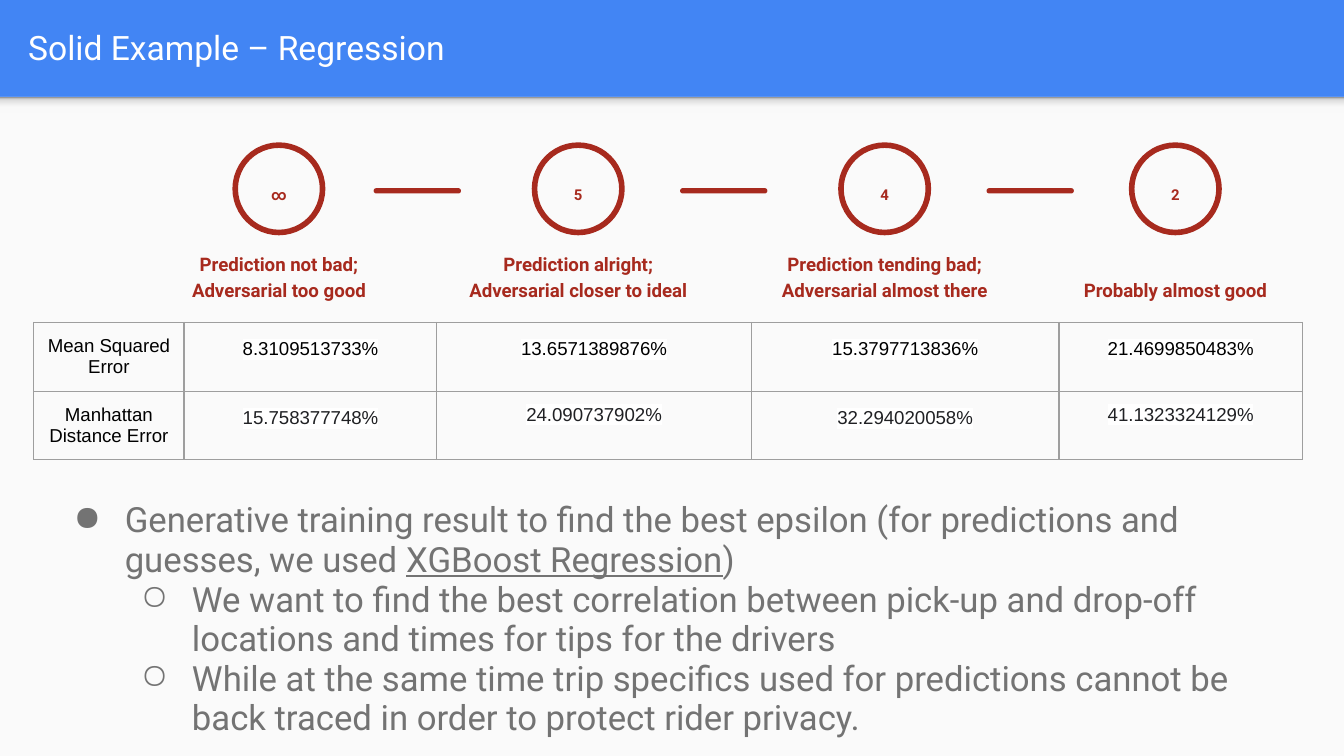
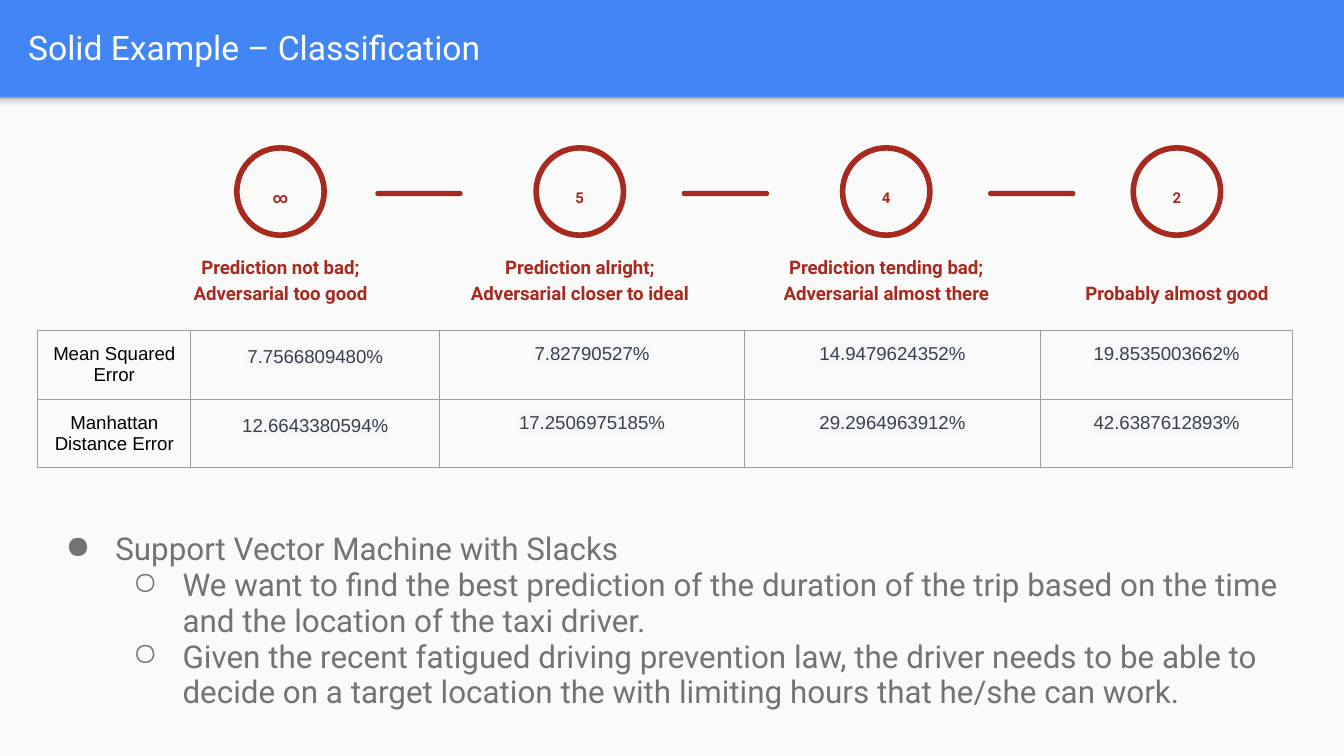
from lxml import etree
from pptx import Presentation
from pptx import util as u
from pptx.dml.color import RGBColor
from pptx.enum import shapes, text
from pptx.oxml import ns

WIDTH, HEIGHT = u.Inches(10), u.Inches(5.625)
COLUMNS, ROWS = 100, 56.25
BLUE, PAPER, RED, GREY = "4285F4", "FAFAFA", "A72A1E", "737373"
WHITE, BLACK, INK, SLATE, MIST, BORDER = "FFFFFF", "000000", "202124", "374151", "F7F7F8", "9E9E9E"
SHADOW_STOPS = [(0, "F9F9F9"), (36, "F9F9F9"), (80, "DEDEDE"), (100, "999999")]
CENTRE, LEFT = text.PP_ALIGN.CENTER, text.PP_ALIGN.LEFT
STAGES = [
    (20.75, "∞", ["Prediction not bad;", "Adversarial too good"]),
    (43.02, "5", ["Prediction alright;", "Adversarial closer to ideal"]),
    (65.82, "4", ["Prediction tending bad;", "Adversarial almost there"]),
    (87.45, "2", ["Probably almost good"]),
]
ROW_NAMES = ["Mean Squared Error", "Manhattan Distance Error"]


def color(code):
    return RGBColor.from_string(code)


def child(parent, tag, **attributes):
    return etree.SubElement(parent, ns.qn(tag), attributes)


def solid(parent, code):
    child(child(parent, "a:solidFill"), "a:srgbClr", val=code)


class Deck:
    """Hold the shared style and the current slide, and draw each kind of element on it."""

    def __init__(self):
        self.presentation = Presentation()
        self.presentation.slide_width, self.presentation.slide_height = WIDTH, HEIGHT
        background = self.presentation.slide_master.background.fill
        background.solid()
        background.fore_color.rgb = color(BLUE)

    def box(self, left, top, width, height):
        column, row = WIDTH / COLUMNS, HEIGHT / ROWS
        return [u.Emu(round(n)) for n in (left * column, top * row, width * column, height * row)]

    def new_slide(self, title):
        self.slide = self.presentation.slides.add_slide(self.presentation.slide_layouts[5])
        self.shape("RECTANGLE", (0, 7.2, 100, 49.05), fill=PAPER)
        self.band_shadow()
        placeholder = self.slide.shapes.title
        placeholder.left, placeholder.top, placeholder.width, placeholder.height = self.box(1.1, 0.2, 96.5, 6.6)
        frame = self.frame(placeholder, text.MSO_ANCHOR.MIDDLE)
        self.paragraph(frame, [title], 18, WHITE, align=LEFT)

    def shape(self, kind, place, fill=None, line=None, parent=None):
        shape = (parent or self.slide).shapes.add_shape(getattr(shapes.MSO_SHAPE, kind), *self.box(*place))
        shape.shadow.inherit = False
        if fill:
            shape.fill.solid()
            shape.fill.fore_color.rgb = color(fill)
        else:
            shape.fill.background()
        if line:
            shape.line.color.rgb = color(line)
            shape.line.width = u.Pt(3)
        else:
            shape.line.fill.background()
        return shape

    def band_shadow(self):
        shape = self.shape("RECTANGLE", (0, 7.2, 100, 1.2))
        shape.fill.gradient()
        shape.fill.gradient_angle = 90
        stops = shape.element.spPr.find(".//" + ns.qn("a:gsLst"))
        stops.clear()
        for position, code in SHADOW_STOPS:
            child(child(stops, "a:gs", pos=str(position * 1000)), "a:srgbClr", val=code)

    def frame(self, shape, anchor=text.MSO_ANCHOR.TOP):
        frame = shape.text_frame
        frame.word_wrap = True
        frame.auto_size = text.MSO_AUTO_SIZE.NONE
        frame.vertical_anchor = anchor
        frame.margin_left = frame.margin_right = frame.margin_top = frame.margin_bottom = u.Inches(0.1)
        return frame

    def text_box(self, place, anchor=text.MSO_ANCHOR.TOP, parent=None):
        return self.frame((parent or self.slide).shapes.add_textbox(*self.box(*place)), anchor)

    def paragraph(self, frame, pieces, size, code, font="Roboto", bold=False, align=CENTRE,
                  spacing=1.0, highlight=None):
        first = frame.paragraphs[0]
        paragraph = frame.add_paragraph() if first.runs else first
        paragraph.alignment, paragraph.line_spacing = align, spacing
        for index, piece in enumerate(pieces):
            run = paragraph.add_run()
            run.text = piece
            run.font.size, run.font.name, run.font.bold = u.Pt(size), font, bold
            run.font.color.rgb = color(code)
            run.font.underline = True if index % 2 else None
            if highlight:
                properties = run.font._element
                mark = child(properties, "a:highlight")
                child(mark, "a:srgbClr", val=highlight)
                properties.find(ns.qn("a:solidFill")).addnext(mark)
        return paragraph

    def stages(self, shift_x=0.0, shift_y=0.0):
        for index, (centre, value, caption) in enumerate(STAGES):
            middle = centre + shift_x
            group = self.slide.shapes.add_group_shape()
            self.shape("OVAL", (middle - 3.25, 10.8 + shift_y, 6.5, 6.5), line=RED, parent=group)
            frame = self.text_box((middle - 2.4, 12.6 + shift_y, 4.8, 3.5), parent=group)
            self.paragraph(frame, [value], 8, RED, bold=True, spacing=1.15).space_after = u.Pt(16)
            frame = self.text_box((middle - 9.35, 18.5 + shift_y, 18.7, 4.9), text.MSO_ANCHOR.BOTTOM, group)
            for line in caption:
                self.paragraph(frame, [line], 10, RED, bold=True, spacing=1.15)
            if index < len(STAGES) - 1:
                dash = (27.8 + 22.8 * index + shift_x, 14 + shift_y, 6.5, 0.4)
                self.shape("ROUNDED_RECTANGLE", dash, fill=RED).adjustments[0] = 0.5

    def error_table(self, left, top, widths, values, codes, highlight, spacings):
        place = self.box(left, top, sum(widths), 10.2)
        table = self.slide.shapes.add_table(len(values), len(widths), *place).table
        table.first_row = table.horz_banding = False
        for column, width in zip(table.columns, widths):
            column.width = self.box(0, 0, width, 0)[2]
        for r, row in enumerate(values):
            self.cell(table.cell(r, 0), ROW_NAMES[r], BLACK)
            for c, value in enumerate(row):
                self.cell(table.cell(r, c + 1), value, codes[r], spacings[r][c], highlight)

    def cell(self, cell, value, code, spacing=1.0, highlight=None):
        cell.margin_left = cell.margin_right = cell.margin_top = cell.margin_bottom = u.Inches(0.1)
        self.paragraph(cell.text_frame, [value], 10, code, "Arial", spacing=spacing, highlight=highlight)
        properties = cell._tc.get_or_add_tcPr()
        for side in ("a:lnL", "a:lnR", "a:lnT", "a:lnB"):
            solid(child(properties, side, w=str(u.Pt(0.75))), BORDER)
        cell.fill.background()

    def bullets(self, place, size, hanging, items):
        frame = self.text_box(place)
        for level, pieces in items:
            paragraph = self.paragraph(frame, pieces, size, GREY, align=LEFT, spacing=0.95)
            paragraph.level = level
            properties = paragraph._p.get_or_add_pPr()
            properties.set("marL", str(u.Inches(0.5 * (level + 1))))
            properties.set("indent", str(-u.Inches(hanging)))
            child(child(properties, "a:buClr"), "a:srgbClr", val=GREY)
            child(properties, "a:buChar", char="●○"[level])


def main():
    deck = Deck()

    deck.new_slide("Solid Example – Regression")
    deck.stages()
    deck.error_table(
        2.5, 24, [11.2, 18.8, 23.4, 22.9, 18.1],
        [["8.3109513733%", "13.6571389876%", "15.3797713836%", "21.4699850483%"],
         ["15.758377748%", "24.090737902%", "32.294020058%", "41.1323324129%"]],
        [BLACK, INK], WHITE, [[1.15] * 4, [1.15, 1.0] * 2])
    deck.bullets((3.3, 36.3, 93.5, 20), 18.6, 0.38, [
        (0, ["Generative training result to find the best epsilon (for predictions and guesses, we used ",
             "XGBoost Regression", ")"]),
        (1, ["We want to find the best correlation between pick-up and drop-off locations and times "
             "for tips for the drivers"]),
        (1, ["While at the same time trip specifics used for predictions cannot be back traced in order "
             "to protect rider privacy."]),
    ])

    deck.new_slide("Solid Example – Classification")
    deck.error_table(
        2.8, 24.6, [11.4, 18.5, 22.7, 22, 18.8],
        [["7.7566809480%", "7.82790527%", "14.9479624352%", "19.8535003662%"],
         ["12.6643380594%", "17.2506975185%", "29.2964963912%", "42.6387612893%"]],
        [SLATE, SLATE], MIST, [[1.15, 1.0, 1.0, 1.0]] * 2)
    deck.stages(0.12, 0.2)
    deck.bullets((2.6, 38.6, 93.5, 16.1), 16.8, 0.37, [
        (0, ["Support Vector Machine with Slacks"]),
        (1, ["We want to find the best prediction of the duration of the trip based on the time and "
             "the location of the taxi driver."]),
        (1, ["Given the recent fatigued driving prevention law, the driver needs to be able to decide "
             "on a target location the with limiting hours that he/she can work."]),
    ])

    deck.presentation.save("out.pptx")


if __name__ == "__main__":
    main()
